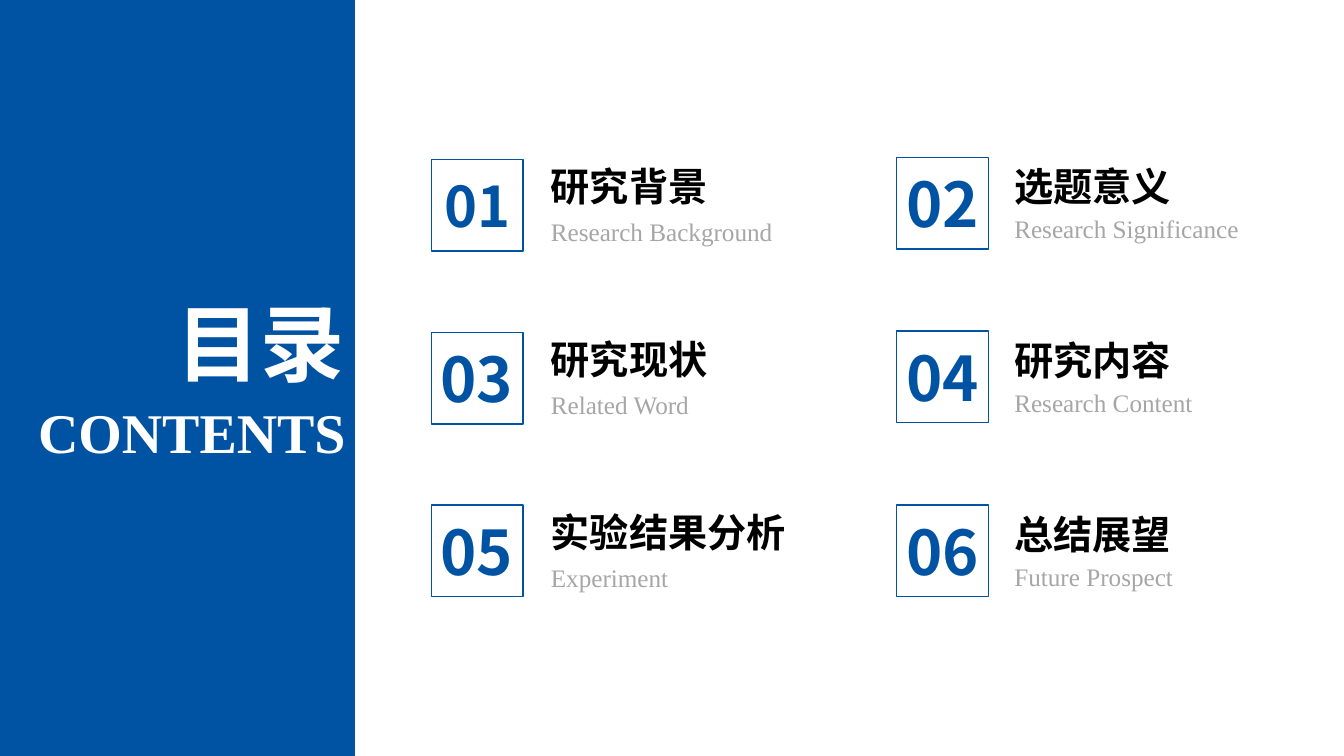
from dataclasses import dataclass

from lxml import etree
from pptx import Presentation
from pptx.dml.color import RGBColor
from pptx.enum import shapes, text
from pptx.oxml import ns
from pptx.util import Pt

BLUE, WHITE, BLACK, GREY = "0053A3", "FFFFFF", "000000", "A6A6A6"
CJK, SERIF = "Noto Sans CJK SC", "Times New Roman"
BOX_SIDE = 65.5


@dataclass(frozen=True)
class Style:
    font: str
    size: float
    color: str
    bold: bool = True
    align: text.PP_ALIGN = text.PP_ALIGN.LEFT


@dataclass(frozen=True)
class Column:
    box_left: float
    top: float
    pitch: float
    text_left: float
    heading_shift: float
    caption_shift: float


@dataclass(frozen=True)
class Chapter:
    heading: str
    caption: str
    number_size: float = 44


TITLE = Style(CJK, 60, WHITE, align=text.PP_ALIGN.RIGHT)
SUBTITLE = Style(SERIF, 40, WHITE, align=text.PP_ALIGN.RIGHT)
HEADING = Style(CJK, 28, BLACK)
CAPTION = Style(SERIF, 18, GREY, bold=False)

COLUMNS = (
    Column(308.2, 113.8, 123.5, 386.6, -1.4, 37.4),
    Column(640.8, 112.3, 124.2, 717.8, 0, 36.5),
)
CHAPTERS = (
    Chapter("研究背景", "Research Background", 40),
    Chapter("选题意义", "Research Significance"),
    Chapter("研究现状", "Related Word"),
    Chapter("研究内容", "Research Content"),
    Chapter("实验结果分析", "Experiment"),
    Chapter("总结展望", "Future Prospect"),
)


def rgb(color: str) -> RGBColor:
    return RGBColor.from_string(color)


def write(shape, content: str, style: Style) -> None:
    frame = shape.text_frame
    frame.text = content
    frame.word_wrap = True
    frame.auto_size = text.MSO_AUTO_SIZE.SHAPE_TO_FIT_TEXT
    frame.vertical_anchor = text.MSO_ANCHOR.TOP
    paragraph = frame.paragraphs[0]
    paragraph.alignment = style.align
    paragraph.space_before = Pt(0)
    run = paragraph.runs[0]
    run.font.name = style.font
    run.font.size = Pt(style.size)
    run.font.bold = style.bold
    run.font.color.rgb = rgb(style.color)
    # East Asian glyphs take their font from a:ea
    east_asian = etree.SubElement(run.font._element, ns.qn("a:ea"))
    east_asian.set("typeface", style.font)


def place(shape, left: float, top: float, width: float, height: float) -> None:
    shape.left, shape.top = Pt(left), Pt(top)
    shape.width, shape.height = Pt(width), Pt(height)


def add_label(slide, content: str, style: Style, left: float, top: float,
              width: float, height: float) -> None:
    label = slide.shapes.add_textbox(Pt(left), Pt(top), Pt(width), Pt(height))
    write(label, content, style)


def add_rectangle(slide, left: float, top: float, width: float, height: float):
    rectangle = slide.shapes.add_shape(
        shapes.MSO_SHAPE.RECTANGLE, Pt(left), Pt(top), Pt(width), Pt(height))
    rectangle.shadow.inherit = False
    return rectangle


def add_chapter(slide, index: int, chapter: Chapter) -> None:
    row, side = divmod(index, len(COLUMNS))
    column = COLUMNS[side]
    top = column.top + row * column.pitch
    add_label(slide, chapter.heading, HEADING,
              column.text_left, top + column.heading_shift, 188.6, 41)
    add_label(slide, chapter.caption, CAPTION,
              column.text_left, top + column.caption_shift, 188.6, 28.8)

    # Number centred in its outlined square
    number = Style(CJK, chapter.number_size, BLUE, align=text.PP_ALIGN.CENTER)
    number_height = chapter.number_size * 1.2 + 7.6
    add_label(slide, f"{index + 1:02}", number, column.box_left - 2.6,
              top + (BOX_SIDE - number_height) / 2, 70.6, number_height)
    square = add_rectangle(slide, column.box_left, top, BOX_SIDE, BOX_SIDE)
    square.fill.background()
    square.line.color.rgb = rgb(BLUE)
    square.line.width = Pt(1)


def main() -> None:
    deck = Presentation()
    deck.slide_width, deck.slide_height = Pt(960.5), Pt(540)
    slide = deck.slides.add_slide(deck.slide_layouts[0])

    # Blue side panel, behind the title
    panel = add_rectangle(slide, 0, 0, 253.6, 540)
    panel.fill.solid()
    panel.fill.fore_color.rgb = rgb(BLUE)
    panel.line.fill.background()
    slide.shapes._spTree.insert(2, panel._element)

    # Title and subtitle
    title, subtitle = slide.placeholders
    place(title, 70.6, 204.5, 182.9, 79.2)
    write(title, "目录", TITLE)
    place(subtitle, 0, 280.1, 254.2, 55.4)
    write(subtitle, "CONTENTS", SUBTITLE)

    # Chapter grid
    for index, chapter in enumerate(CHAPTERS):
        add_chapter(slide, index, chapter)

    deck.save("out.pptx")


if __name__ == "__main__":
    main()
